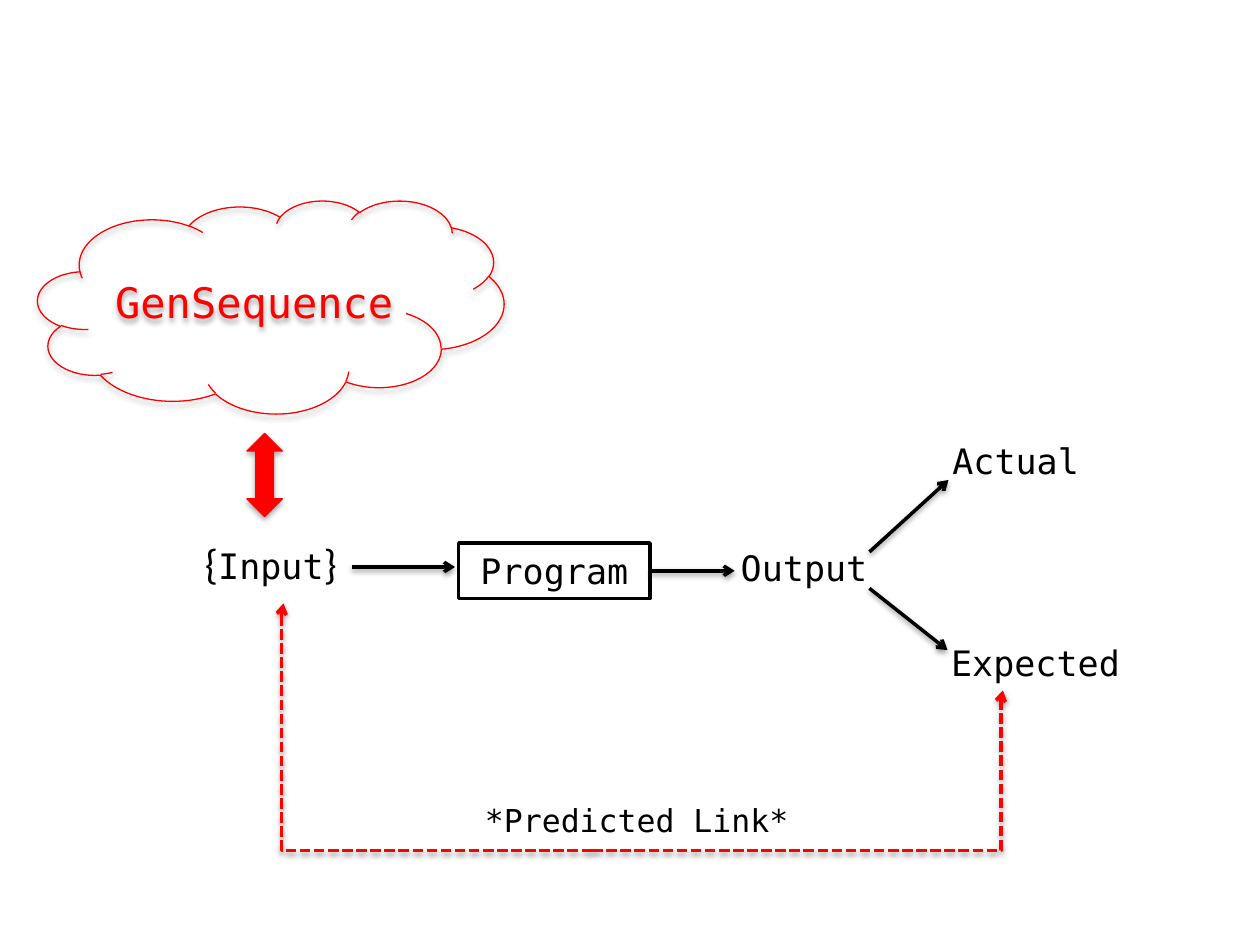
from lxml.etree import SubElement
from pptx import Presentation
from pptx.dml.color import RGBColor
from pptx.enum.dml import MSO_LINE
from pptx.enum.shapes import MSO_CONNECTOR, MSO_SHAPE
from pptx.enum.text import MSO_ANCHOR, PP_ALIGN
from pptx.oxml.ns import qn
from pptx.util import Pt

BLACK, RED, WHITE = "000000", "FF0000", "FFFFFF"
MONO = "DejaVu Sans Mono"


def write(s, *runs, size=20, font=MONO, color=BLACK, align=PP_ALIGN.LEFT,
          anchor=MSO_ANCHOR.TOP):
    """Write runs, each a text or a (text, font, size) tuple, into a shape."""
    tf = s.text_frame
    tf.word_wrap = True
    tf.vertical_anchor = anchor
    p = tf.paragraphs[0]
    p.alignment = align
    for run in runs:
        text, name, points = (run, font, size) if isinstance(run, str) else run
        r = p.add_run()
        r.text = text
        r.font.name = name
        r.font.size = Pt(points)
        r.font.color.rgb = RGBColor.from_string(color)


def add_shadow(effects, dist, alpha):
    """Add a soft black shadow that falls straight down."""
    shadow = SubElement(effects, qn("a:outerShdw"), blurRad=str(Pt(3.15)),
                        dist=str(Pt(dist)), dir="5400000", rotWithShape="0")
    clr = SubElement(shadow, qn("a:srgbClr"), val=BLACK)
    SubElement(clr, qn("a:alpha"), val=str(alpha * 1000))


prs = Presentation()
prs.slide_width, prs.slide_height = Pt(720), Pt(540)
shapes = prs.slides.add_slide(prs.slide_layouts[6]).shapes

# Labels
brace = "Calibri", 24
labels = [
    (105.1, 303.8, 99.4, 36, [("{", *brace), "Input", ("}", *brace)],
     {"align": PP_ALIGN.CENTER}),
    (416.2, 308.9, 88.6, 31.5, ["Output"], {}),
    (537.1, 247.7, 99.4, 31.5, ["Actual"], {}),
    (536.4, 362.9, 112.3, 31.5, ["Expected"], {}),
    (270, 454.3, 202.3, 29, ["*Predicted Link*"], {"size": 18}),
]
for x, y, w, h, runs, style in labels:
    write(shapes.add_textbox(Pt(x), Pt(y), Pt(w), Pt(h)), *runs, **style)

# Program box, cloud and double arrow
blocks = [
    (MSO_SHAPE.RECTANGLE, 262.1, 310.3, 109.4, 31.7, WHITE, BLACK, 2),
    (MSO_SHAPE.CLOUD, 21.6, 114.5, 266.4, 121.7, None, RED, 0.75),
    (MSO_SHAPE.UP_DOWN_ARROW, 141.1, 247.7, 20.2, 47.5, RED, RED, 0.75),
]
drawn = []
for kind, x, y, w, h, fill, line, width in blocks:
    s = shapes.add_shape(kind, Pt(x), Pt(y), Pt(w), Pt(h))
    if fill:
        s.fill.solid()
        s.fill.fore_color.rgb = RGBColor.from_string(fill)
    else:
        s.fill.background()
    s.line.color.rgb = RGBColor.from_string(line)
    s.line.width = Pt(width)
    s.shadow.inherit = False
    if line == RED:
        add_shadow(s._element.spPr.find(qn("a:effectLst")), 1.81, 35)
    drawn.append(s)
program, cloud, _ = drawn
write(program, "Program", align=PP_ALIGN.CENTER)
write(cloud, "GenSequence", size=24, color=RED, align=PP_ALIGN.CENTER,
      anchor=MSO_ANCHOR.MIDDLE)

# Flow arrows, then the dashed links with the place of their bend
arrows = [
    (201, 324, 260, 324, None),
    (371, 326.2, 419.8, 326.2, None),
    (496.8, 315.4, 542, 274.3, None),
    (496.8, 336.2, 541.4, 371.5, None),
    (338.4, 486, 162, 344.9, 100600),
    (338.4, 486, 573.1, 394.6, 99500),
]
for x1, y1, x2, y2, bend in arrows:
    kind = MSO_CONNECTOR.ELBOW if bend else MSO_CONNECTOR.STRAIGHT
    s = shapes.add_connector(kind, Pt(x1), Pt(y1), Pt(x2), Pt(y2))
    s.line.color.rgb = RGBColor.from_string(RED if bend else BLACK)
    s.line.width = Pt(2)
    spPr = s._element.spPr
    if bend:
        s.line.dash_style = MSO_LINE.SQUARE_DOT
        guides = spPr.find(qn("a:prstGeom")).find(qn("a:avLst"))
        SubElement(guides, qn("a:gd"), name="adj1", fmla=f"val {bend}")
    SubElement(spPr.find(qn("a:ln")), qn("a:tailEnd"), type="arrow")
    add_shadow(SubElement(spPr, qn("a:effectLst")), 1.57, 38)

prs.save("out.pptx")
